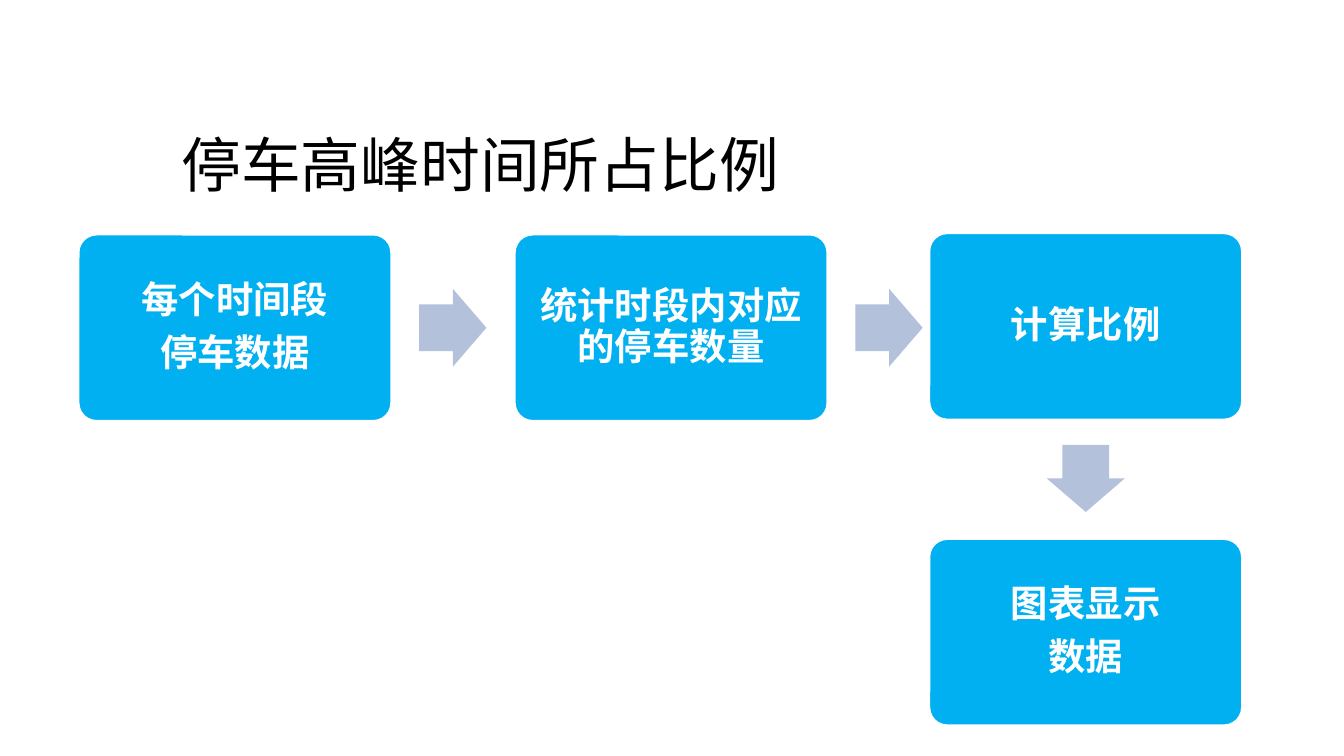
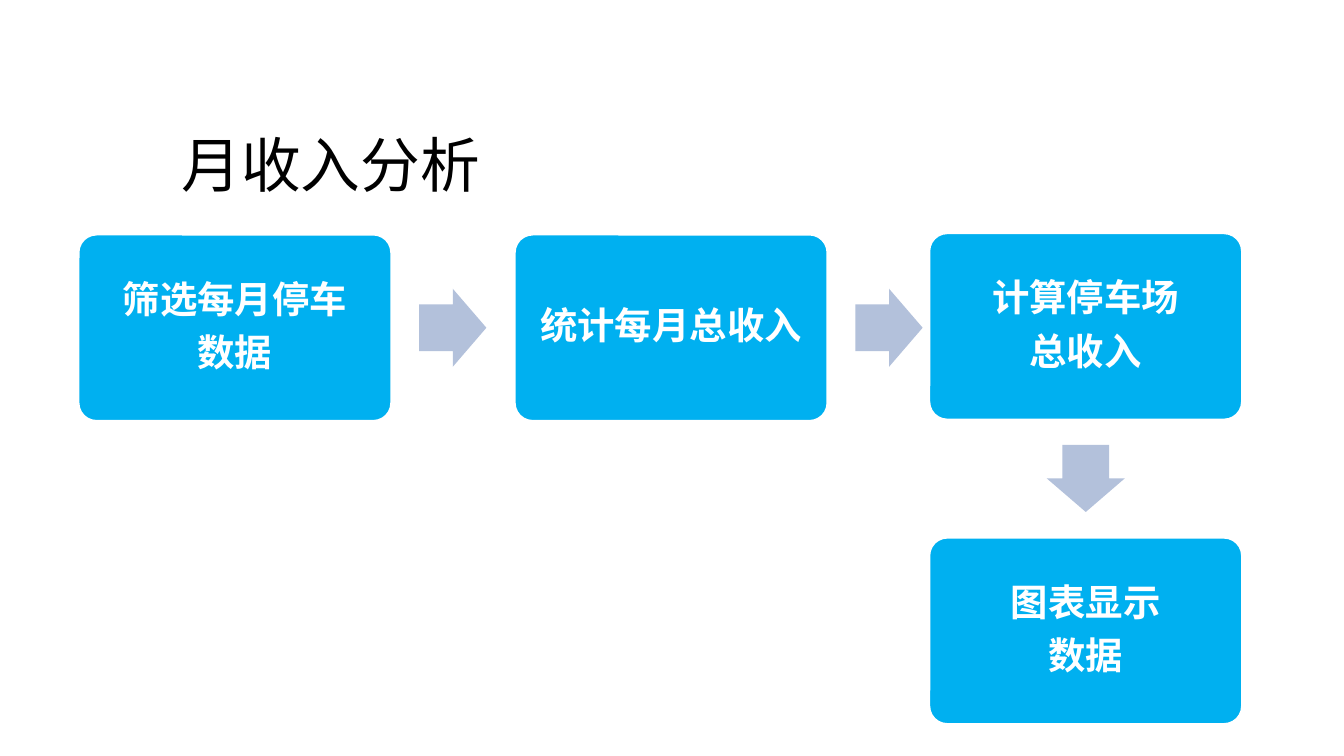
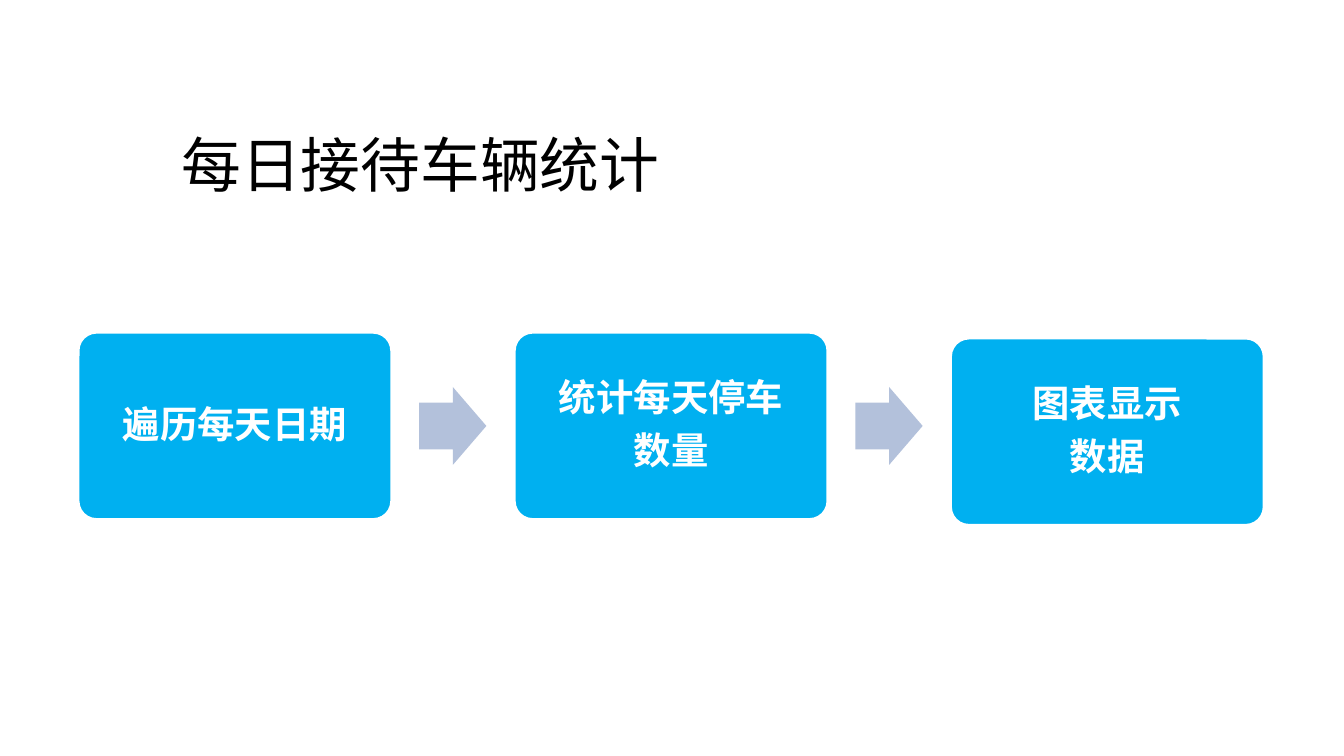
from pptx import Presentation
from pptx.dml.color import RGBColor
from pptx.enum.shapes import MSO_SHAPE
from pptx.enum.text import MSO_ANCHOR, MSO_AUTO_SIZE, PP_ALIGN
from pptx.util import Pt

BLUE = RGBColor(0x00, 0xB0, 0xF0)
ARROW_GREY = RGBColor(0xB3, 0xC1, 0xDB)
WHITE = RGBColor(0xFF, 0xFF, 0xFF)
BLACK = RGBColor(0x00, 0x00, 0x00)

STEP_WIDTH, STEP_HEIGHT = 168.5, 100.8
ARROW_LENGTH, ARROW_BREADTH = 36, 41.8
FIRST_LEFT, PITCH = 41.6, 233.7
SECOND_LEFT = FIRST_LEFT + PITCH
ARROW_OFFSET = 183
DOWN_ARROW_TOP = 235.4
CORNER_LEFT = 497.4

slides = [
    ("停车高峰时间所占比例", [
        (FIRST_LEFT, 125.2, ["每个时间段", "停车数据"], "right"),
        (SECOND_LEFT, 125.2, ["统计时段内对应的停车数量"], "right"),
        (CORNER_LEFT, 124.5, ["计算比例"], "down"),
        (CORNER_LEFT, 288.3, ["图表显示", "数据"], None),
    ]),
    ("月收入分析", [
        (FIRST_LEFT, 125.2, ["筛选每月停车", "数据"], "right"),
        (SECOND_LEFT, 125.2, ["统计每月总收入"], "right"),
        (CORNER_LEFT, 124.5, ["计算停车场", "总收入"], "down"),
        (CORNER_LEFT, 287.6, ["图表显示", "数据"], None),
    ]),
    ("每日接待车辆统计", [
        (FIRST_LEFT, 177.8, ["遍历每天日期"], "right"),
        (SECOND_LEFT, 177.8, ["统计每天停车", "数量"], "right"),
        (FIRST_LEFT + 2 * PITCH, 180.9, ["图表显示", "数据"], None),
    ]),
]


def add_run(paragraph, text, font_name, size, color, bold):
    run = paragraph.add_run()
    run.text = text
    run.font.name = font_name
    run.font.size = Pt(size)
    run.font.bold = bold
    run.font.color.rgb = color


def add_block(slide, preset, left, top, width, height, fill):
    block = slide.shapes.add_shape(preset, Pt(left), Pt(top), Pt(width), Pt(height))
    block.shadow.inherit = False
    block.fill.solid()
    block.fill.fore_color.rgb = fill
    return block


prs = Presentation()
prs.slide_width = Pt(720)
prs.slide_height = Pt(405)

for heading, steps in slides:
    slide = prs.slides.add_slide(prs.slide_layouts[5])
    title = slide.shapes.title
    title.left, title.top, title.width, title.height = Pt(90), Pt(64.8), Pt(618.5), Pt(48.2)
    title.text_frame.auto_size = MSO_AUTO_SIZE.NONE
    title.text_frame.vertical_anchor = MSO_ANCHOR.TOP
    title_line = title.text_frame.paragraphs[0]
    title_line.alignment = PP_ALIGN.LEFT
    add_run(title_line, heading, "Calibri", 32, BLACK, False)

    for left, top, lines, direction in steps:
        step = add_block(slide, MSO_SHAPE.ROUNDED_RECTANGLE, left, top, STEP_WIDTH, STEP_HEIGHT, BLUE)
        step.adjustments[0] = 0.1
        step.line.color.rgb = WHITE
        step.line.width = Pt(2)
        label = step.text_frame
        label.word_wrap = True
        label.vertical_anchor = MSO_ANCHOR.MIDDLE
        label.margin_left = label.margin_right = label.margin_top = label.margin_bottom = Pt(6)
        for index, line in enumerate(lines):
            paragraph = label.add_paragraph() if index else label.paragraphs[0]
            paragraph.alignment = PP_ALIGN.CENTER
            paragraph.line_spacing = 0.9
            paragraph.space_after = Pt(7)
            add_run(paragraph, line, "Arial", 20, WHITE, True)

        if direction:
            if direction == "right":
                arrow_left = left + ARROW_OFFSET
                arrow_top = top + (STEP_HEIGHT - ARROW_BREADTH) / 2
            else:
                arrow_left = left + (STEP_WIDTH - ARROW_LENGTH) / 2
                arrow_top = DOWN_ARROW_TOP
            arrow = add_block(slide, MSO_SHAPE.RIGHT_ARROW, arrow_left, arrow_top,
                              ARROW_LENGTH, ARROW_BREADTH, ARROW_GREY)
            arrow.adjustments[0] = 0.6
            arrow.adjustments[1] = 0.5
            arrow.line.fill.background()
            arrow.rotation = 90 if direction == "down" else 0

prs.save("out.pptx")
